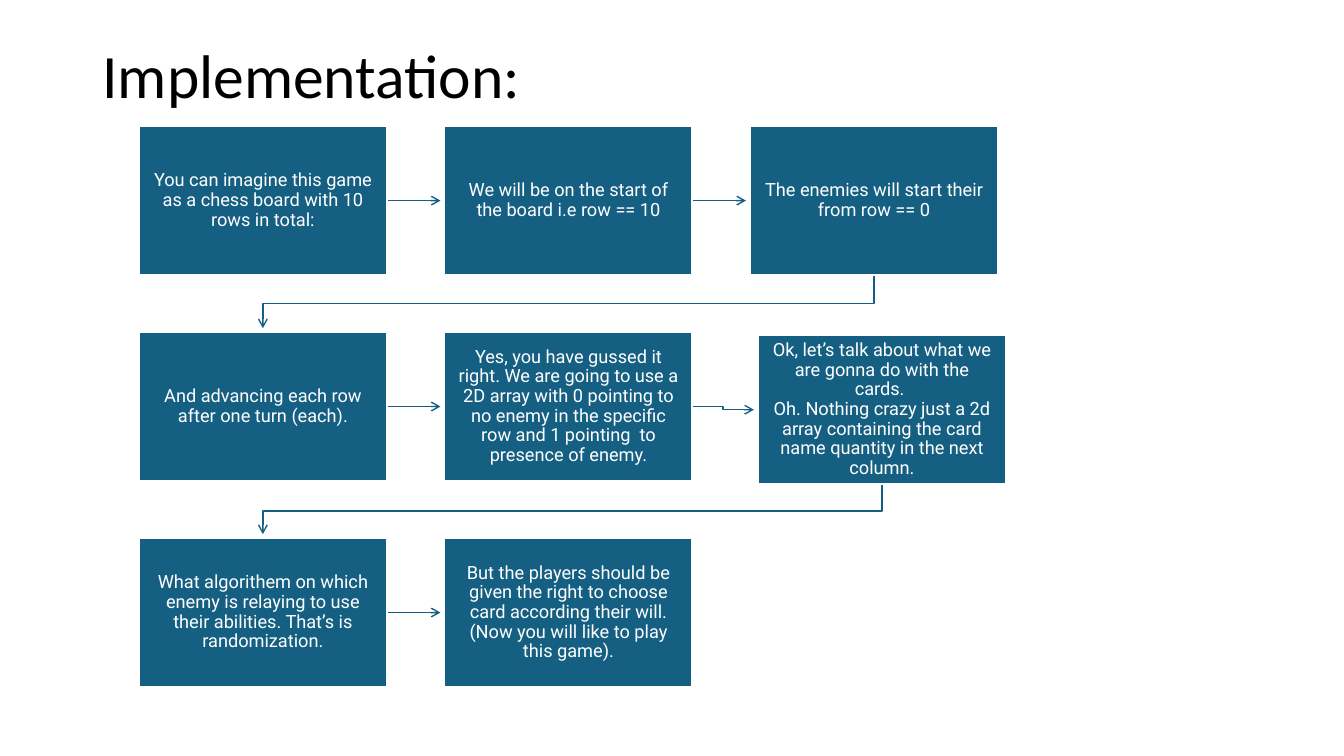
from pptx import Presentation
from pptx.dml.color import RGBColor as Rgb
from pptx.enum.shapes import MSO_CONNECTOR as Link, MSO_SHAPE as Form
from pptx.enum.text import MSO_ANCHOR as Anchor, MSO_AUTO_SIZE as Fit, PP_ALIGN as Align
from pptx.oxml.ns import qn
from pptx.util import Cm, Pt
from lxml.etree import SubElement as Sub

HUES = {"blue": "156082", "white": "FFFFFF", "black": "000000"}
STEPS = [
    ["You can imagine this game as a chess board with 10 rows in total:"],
    ["We will be on the start of the board i.e row == 10"],
    ["The enemies will start their from row == 0"],
    ["And advancing each row after one turn (each)."],
    ["Yes, you have gussed it right. We are going to use a 2D array with 0 pointing to "
     "no enemy in the specific row and 1 pointing  to presence of enemy."],
    ["Ok, let’s talk about what we are gonna do with the cards. ",
     "Oh. Nothing crazy just a 2d array containing the card name quantity in the next column."],
    ["What algorithem on which enemy is relaying to use their abilities. "
     "That’s is randomization."],
    ["But the players should be given the right to choose card according their will. "
     "(Now you will like to play this game)."],
]
COLS = 3
WIDE, HIGH = 6.25, 3.75
GAP_X, GAP_Y = 1.45, 1.44
NUDGE = {5: (0.2, 0.08)}
TIP = 0.1


def hue(name):
    """Return a palette colour."""
    return Rgb.from_string(HUES[name])


def write(par, text, font, size, tone):
    """Add one styled run to a paragraph."""
    run = par.add_run()
    run.text = text
    run.font.name, run.font.size = font, Pt(size)
    run.font.color.rgb = hue(tone)


def head(slide, left, top, wide, high):
    """Place and fill the title."""
    title = slide.shapes.title
    title.left, title.top, title.width, title.height = map(Cm, (left, top, wide, high))
    frame = title.text_frame
    frame.auto_size, frame.vertical_anchor = Fit.NONE, Anchor.TOP
    par = frame.paragraphs[0]
    par.alignment, par.line_spacing = Align.LEFT, 0.9
    write(par, "Implementation:", "Calibri", 44, "black")


def arrow(line):
    """Style a line as a flat blue arrow."""
    line.line.color.rgb, line.line.width = hue("blue"), Pt(1)
    props = line.element.spPr
    Sub(props.find(qn("a:ln")), qn("a:tailEnd"), type="arrow")
    Sub(props, qn("a:effectLst"))


def across(slide, start, end):
    """Link two neighbours in a row."""
    x, y = start[0] + WIDE, start[1] + HIGH / 2
    to_x, to_y = end[0] - TIP, end[1] + HIGH / 2
    kind = Link.STRAIGHT if y == to_y else Link.ELBOW
    arrow(slide.shapes.add_connector(kind, Cm(x), Cm(y), Cm(to_x), Cm(to_y)))


def wrap(slide, start, end):
    """Link the end of a row to the start of the next."""
    x, y = start[0] + WIDE / 2, start[1] + HIGH
    to_x, to_y = end[0] + WIDE / 2, end[1]
    mid = (y + to_y) / 2
    path = slide.shapes.build_freeform(Cm(x), Cm(y))
    turns = [(x, mid), (to_x, mid), (to_x, to_y - TIP)]
    path.add_line_segments([(Cm(a), Cm(b)) for a, b in turns], close=False)
    bend = path.convert_to_shape()
    bend.fill.background()
    arrow(bend)


def card(slide, left, top, lines):
    """Draw one step of the flow."""
    box = slide.shapes.add_shape(Form.RECTANGLE, Cm(left), Cm(top), Cm(WIDE), Cm(HIGH))
    box.shadow.inherit = False
    box.fill.solid()
    box.fill.fore_color.rgb = hue("blue")
    box.line.color.rgb, box.line.width = hue("white"), Pt(1.5)
    frame = box.text_frame
    frame.word_wrap, frame.vertical_anchor = True, Anchor.MIDDLE
    frame.margin_left = frame.margin_right = Cm(0.3)
    frame.margin_top = frame.margin_bottom = Cm(0.33)
    par = frame.paragraphs[0]
    par.alignment, par.line_spacing, par.space_after = Align.CENTER, 0.9, Pt(4.5)
    for at, text in enumerate(lines):
        if at:
            par.add_line_break()
        write(par, text, "Roboto", 13, "white")


def flow(slide, left, top):
    """Lay the steps out in rows and link them in order."""
    spots = []
    for at in range(len(STEPS)):
        row, col = divmod(at, COLS)
        dx, dy = NUDGE.get(at, (0, 0))
        spots.append((left + col * (WIDE + GAP_X) + dx, top + row * (HIGH + GAP_Y) + dy))
    for at, (start, end) in enumerate(zip(spots, spots[1:]), 1):
        link = across if at % COLS else wrap
        link(slide, start, end)
    for spot, lines in zip(spots, STEPS):
        card(slide, *spot, lines)


def main():
    """Build and save the deck."""
    deck = Presentation()
    deck.slide_width, deck.slide_height = Cm(33.87), Cm(19.05)
    slide = deck.slides.add_slide(deck.slide_layouts[5])
    head(slide, 2.33, 1.01, 29.21, 3.68)
    flow(slide, 3.5, 3.18)
    deck.save("out.pptx")


main()
